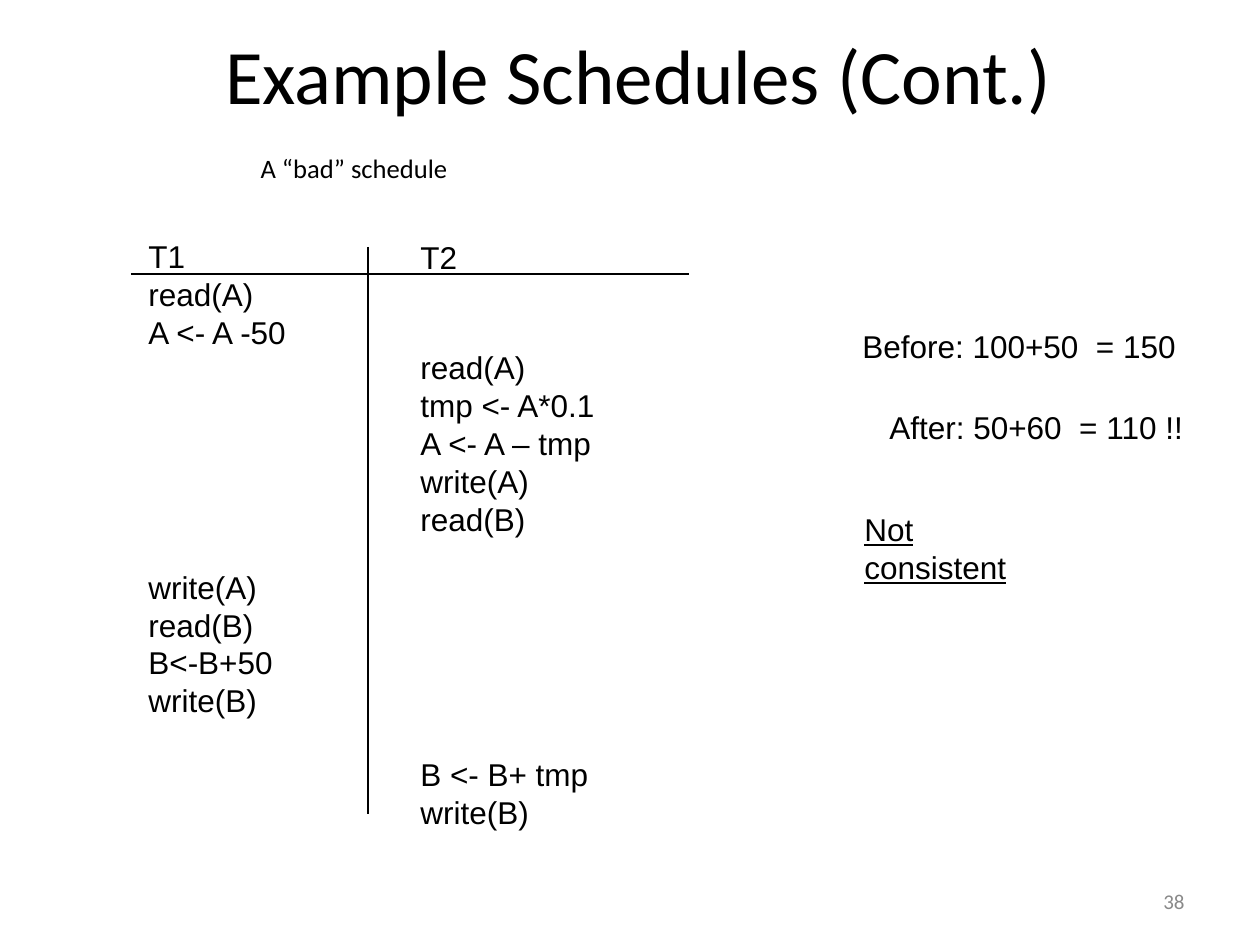
import collections
import dataclasses

import lxml.etree
import pptx
import pptx.dml.color
import pptx.enum.shapes
import pptx.enum.text
import pptx.oxml.ns
import pptx.util

PX = 914400 / 126
Box = collections.namedtuple("Box", "left top width height")
ALIGN = pptx.enum.text.PP_ALIGN
ANCHOR = pptx.enum.text.MSO_ANCHOR
AUTO = pptx.enum.text.MSO_AUTO_SIZE


@dataclasses.dataclass(frozen=True)
class Theme:
    ink: str = "000000"
    muted: str = "898989"
    rule: float = 0.75
    row: float = 20.7
    title: tuple = (("name", "Calibri"), ("size", pptx.util.Pt(44)))
    body: tuple = (("name", "Calibri"), ("size", pptx.util.Pt(15.2)))
    label: tuple = (("name", "Arial"), ("size", pptx.util.Pt(18)))
    number: tuple = (("name", "Calibri"), ("size", pptx.util.Pt(12)))


THEME = Theme()


def px(length):
    return pptx.util.Emu(round(length * PX))


def inside(box, left, top, width, height):
    return Box(box.left + left, box.top + top, width, height)


def apply(target, values):
    for name, value in dict(values).items():
        setattr(target, name, value)


def place(shape, box):
    apply(shape, {name: px(value) for name, value in box._asdict().items()})


def write(para, text, style, color=THEME.ink, **extra):
    span = para.add_run()
    span.text = text
    apply(span.font, dict(style, **extra))
    span.font.color.rgb = pptx.dml.color.RGBColor.from_string(color)


def add_text(page, box, rows, style=THEME.label, color=THEME.ink, frame=None, align=ALIGN.LEFT, **extra):
    shape = page.shapes.add_textbox(*map(px, box))
    apply(shape.text_frame, frame or {"word_wrap": False, "auto_size": AUTO.SHAPE_TO_FIT_TEXT})
    for index, (gap, text) in enumerate(rows):
        para = shape.text_frame.add_paragraph() if index else shape.text_frame.paragraphs[0]
        para.alignment = align
        if gap:
            para.space_before = pptx.util.Pt(gap * THEME.row)
        write(para, text, style, color, **extra)


def add_rule(page, start, end):
    line = page.shapes.add_connector(
        pptx.enum.shapes.MSO_CONNECTOR.STRAIGHT, *map(px, start + end))
    line.line.color.rgb = pptx.dml.color.RGBColor.from_string(THEME.ink)
    line.line.width = pptx.util.Pt(THEME.rule)
    lxml.etree.SubElement(line._element.spPr, pptx.oxml.ns.qn("a:effectLst"))


def add_title(page, box, text):
    shape = page.shapes.title
    place(shape, box)
    apply(shape.text_frame, {"vertical_anchor": ANCHOR.MIDDLE, "auto_size": AUTO.NONE})
    para = shape.text_frame.paragraphs[0]
    para.alignment = ALIGN.CENTER
    write(para, text, THEME.title)


def add_subtitle(page, box, text, indent):
    shape = page.placeholders[1]
    place(shape, box)
    apply(shape.text_frame, {"vertical_anchor": ANCHOR.TOP, "auto_size": AUTO.NONE})
    para = shape.text_frame.paragraphs[0]
    props = para._p.get_or_add_pPr()
    apply_indent = {"marL": str(px(indent)), "indent": "0"}
    props.attrib.update(apply_indent)
    lxml.etree.SubElement(props, pptx.oxml.ns.qn("a:buNone"))
    para.space_before = pptx.util.Pt(0)
    write(para, text, THEME.body)


def add_schedule(page, box):
    first = [(0, "T1"), (0, "read(A)"), (0, "A <- A -50"),
             (6, "write(A)"), (0, "read(B)"), (0, "B<-B+50"), (0, "write(B)")]
    second = [(0, "T2"), (2, "read(A)"), (0, "tmp <- A*0.1"), (0, "A <- A – tmp"),
              (0, "write(A)"), (0, "read(B)"), (6, "B <- B+ tmp"), (0, "write(B)")]
    add_text(page, inside(box, 5, 0, 168, 504), first)
    add_text(page, inside(box, 277, 1, 200, 617), second)
    header, divider = box.top + 43, box.left + 237
    add_rule(page, (box.left, header), (box.left + box.width, header))
    add_rule(page, (divider, box.top + 16), (divider, box.top + 583))


def add_outcome(page, box):
    add_text(page, inside(box, 0, 0, 339, 50), [(0, "Before: 100+50  = 150")])
    add_text(page, inside(box, 27, 81, 321, 50), [(0, "After: 50+60  = 110 !!")])
    add_text(page, inside(box, 2, 183, 224, 50), [(0, "Not consistent")], underline=True)


def add_page_number(page, box, text):
    frame = {"word_wrap": True, "vertical_anchor": ANCHOR.MIDDLE}
    add_text(page, box, [(0, text)], THEME.number, THEME.muted, frame, ALIGN.RIGHT)


def main():
    deck = pptx.Presentation()
    apply(deck, {"slide_width": px(1260), "slide_height": px(945)})
    page = deck.slides.add_slide(deck.slide_layouts[1])
    add_title(page, Box(82, 11, 1113, 125), "Example Schedules (Cont.)")
    add_subtitle(page, Box(146, 146, 926, 91), "A “bad” schedule", 102)
    add_outcome(page, Box(850, 321, 348, 233))
    add_schedule(page, Box(131, 231, 558, 618))
    add_page_number(page, Box(903, 876, 294, 50), "38")
    deck.save("out.pptx")


if __name__ == "__main__":
    main()
